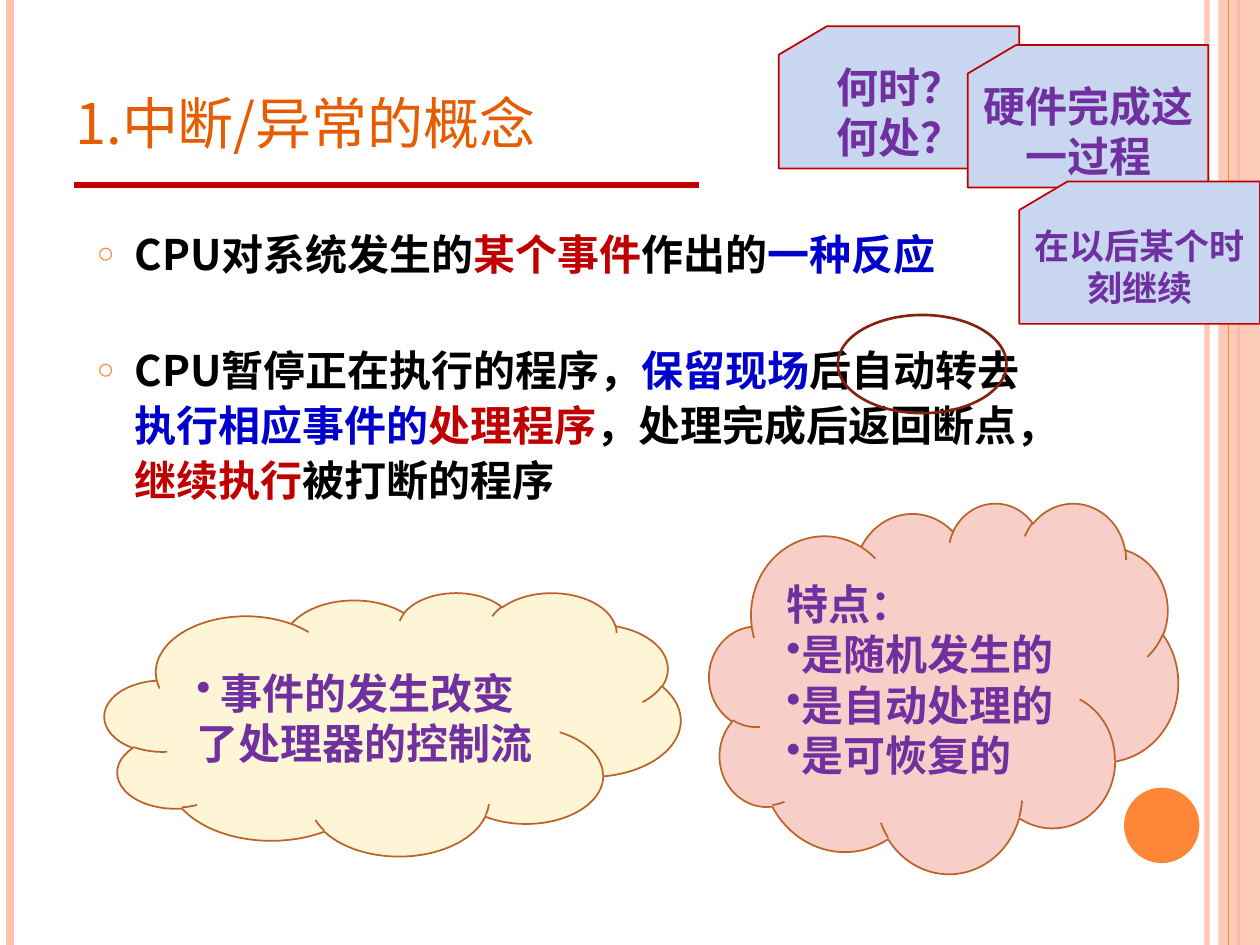
from dataclasses import dataclass

from lxml import etree
from pptx import Presentation
from pptx import util as u
from pptx.dml.color import RGBColor
from pptx.enum import shapes, text
from pptx.oxml import ns

Cm, Pt = u.Cm, u.Pt
LEFT, CENTER = text.PP_ALIGN.LEFT, text.PP_ALIGN.CENTER
MIDDLE, TOP, BOTTOM = (text.MSO_ANCHOR.MIDDLE, text.MSO_ANCHOR.TOP,
                       text.MSO_ANCHOR.BOTTOM)
SHAPE = shapes.MSO_SHAPE


@dataclass(frozen=True)
class Theme:
    font: str = "Noto Sans CJK SC"
    black: str = "000000"
    red: str = "C00000"
    blue: str = "0000CC"
    purple: str = "7030A0"
    title: str = "E75C01"
    orange: str = "FE8637"
    peach: str = "FEC3AE"
    ring: str = "862110"
    cloud_line: str = "BC6329"
    cream: str = "FDF5D5"
    pink: str = "F8CFC8"
    card: str = "C8D6F0"
    title_size: int = 40
    body_size: int = 24
    small_size: int = 20


T = Theme()


def set_attrs(obj, values):
    for name, value in values.items():
        setattr(obj, name, value)


def add_xml(parent, tag, **attrs):
    return etree.SubElement(parent, ns.qn(tag), attrs)


def set_alpha(el, percent):
    for clr in el.iter(ns.qn("a:srgbClr")):
        add_xml(clr, "a:alpha", val=str(percent * 1000))


def place(sp, box):
    set_attrs(sp, dict(zip(("left", "top", "width", "height"), map(Cm, box))))


def add_line(s, start, end, color, width, alpha=None):
    c = s.shapes.add_connector(shapes.MSO_CONNECTOR.STRAIGHT,
                               *map(Cm, (*start, *end)))
    c.line.color.rgb = RGBColor.from_string(color)
    c.line.width = Pt(width)
    if alpha:
        set_alpha(c.line._ln, alpha)
    add_xml(c._element.spPr, "a:effectLst")


def add_shape(s, kind, box, fill=None, line=None, width=1, alpha=None):
    sp = s.shapes.add_shape(kind, *map(Cm, box))
    sp.shadow.inherit = False
    if fill:
        sp.fill.solid()
        sp.fill.fore_color.rgb = RGBColor.from_string(fill)
        if alpha:
            set_alpha(sp._element.spPr, alpha)
    else:
        sp.fill.background()
    if line:
        sp.line.color.rgb = RGBColor.from_string(line)
        sp.line.width = Pt(width)
    else:
        sp.line.fill.background()
    return sp


def add_run(p, words, color, size, bold=True, small_caps=False):
    r = p.add_run()
    r.text = words
    set_attrs(r.font, {"name": T.font, "size": Pt(size), "bold": bold})
    r.font.color.rgb = RGBColor.from_string(color)
    rpr = r.font._element
    add_xml(rpr, "a:ea", typeface=T.font)
    if small_caps:
        rpr.set("cap", "small")


def format_paragraph(p, bullet=None, left=0, indent=0, bullet_color=None,
                     bullet_size=None, **values):
    set_attrs(p, values)
    ppr = p._p.get_or_add_pPr()
    ppr.set("marL", str(Cm(left)))
    ppr.set("indent", str(Cm(indent)))
    if bullet_color:
        add_xml(add_xml(ppr, "a:buClr"), "a:srgbClr", val=bullet_color)
    if bullet_size:
        add_xml(ppr, "a:buSzPct", val=str(bullet_size * 1000))
    if bullet:
        add_xml(ppr, "a:buChar", char=bullet)
    else:
        add_xml(ppr, "a:buNone")


def fill_text(sp, paragraphs, anchor=MIDDLE, size=T.body_size, **run_format):
    tf = sp.text_frame
    set_attrs(tf, {"word_wrap": True, "vertical_anchor": anchor,
                   "auto_size": text.MSO_AUTO_SIZE.NONE})
    for i, (runs, fmt) in enumerate(paragraphs):
        p = tf.add_paragraph() if i else tf.paragraphs[0]
        format_paragraph(p, **fmt)
        for words, color in runs:
            add_run(p, words, color, size, **run_format)


def add_frame(s):
    for x, color, width, alpha in ((24.33, T.peach, 3, 93),
                                   (0.2, T.peach, 4.5, None),
                                   (24.97, T.orange, 1.5, None)):
        add_line(s, (x, 0), (x, 19.05), color, width, alpha)
    add_shape(s, SHAPE.RECTANGLE, (24.56, 0, 0.84, 19.05), T.peach, alpha=87)
    add_line(s, (24.77, 0), (24.77, 19.05), T.orange, 0.75)
    add_shape(s, SHAPE.OVAL, (22.66, 15.88, 1.52, 1.52), T.orange)


def add_title(s):
    add_line(s, (1.5, 3.73), (14.1, 3.73), T.red, 3)
    place(s.shapes.title, (1.27, 0.76, 20.75, 2.57))
    fill_text(s.shapes.title,
              [([("1.中断/异常的概念", T.title)], {"alignment": LEFT})],
              BOTTOM, T.title_size, bold=False, small_caps=True)


def add_body(s):
    body = s.placeholders[1]
    place(body, (1.7, 4.47, 19.63, 6.91))
    fmt = {"bullet": "○", "left": 0.76, "indent": -0.76, "alignment": LEFT,
           "bullet_color": T.orange, "bullet_size": 70}
    reaction = [("CPU对系统发生的", T.black), ("某个事件", T.red),
                ("作出的", T.black), ("一种反应", T.blue)]
    process = [("CPU暂停正在执行的程序，", T.black), ("保留现场", T.blue),
               ("后自动转去", T.black), ("执行相应事件的", T.blue),
               ("处理程序", T.red), ("，处理完成后返回断点，", T.black),
               ("继续执行", T.red), ("被打断的程序", T.black)]
    fill_text(body, [
        (reaction, {**fmt, "space_before": Pt(6)}),
        (process, {**fmt, "space_before": Pt(34.6), "line_spacing": 1.1}),
    ], TOP)


def add_cloud(s, box, fill, paragraphs):
    sp = add_shape(s, SHAPE.CLOUD, box, fill, T.cloud_line)
    fill_text(sp, [([(words, T.purple)], {"alignment": LEFT, **fmt})
                   for words, fmt in paragraphs])


def add_card(s, left, top, lines, size=T.body_size):
    sp = add_shape(s, SHAPE.FLOWCHART_CARD, (left, top, 4.85, 2.87),
                   T.card, T.red)
    fill_text(sp, [([(line, T.purple)], {"alignment": CENTER})
                   for line in lines], size=size)


def main():
    prs = Presentation()
    set_attrs(prs, {"slide_width": Cm(25.4), "slide_height": Cm(19.05)})
    s = prs.slides.add_slide(prs.slide_layouts[1])
    add_frame(s)
    add_title(s)
    add_body(s)
    add_shape(s, SHAPE.OVAL, (16.89, 6.35, 3.4, 1.98), line=T.ring, width=1.5)
    add_cloud(s, (2.11, 11.94, 11.61, 5.31), T.cream,
              [(" 事件的发生改变了处理器的控制流", {"bullet": "•"})])
    traits = ("是随机发生的", "是自动处理的", "是可恢复的")
    add_cloud(s, (14.3, 10.13, 9.45, 7.47), T.pink,
              [("特点：", {"left": 0.97, "indent": -0.97})]
              + [(trait, {"bullet": "•", "indent": -0.41})
                 for trait in traits])
    add_card(s, 15.7, 0.53, ["何时？", "何处？"])
    add_card(s, 19.51, 0.91, ["硬件完成这一过程"])
    add_card(s, 20.55, 3.66, ["在以后某个时刻继续"], T.small_size)
    prs.save("out.pptx")


if __name__ == "__main__":
    main()
